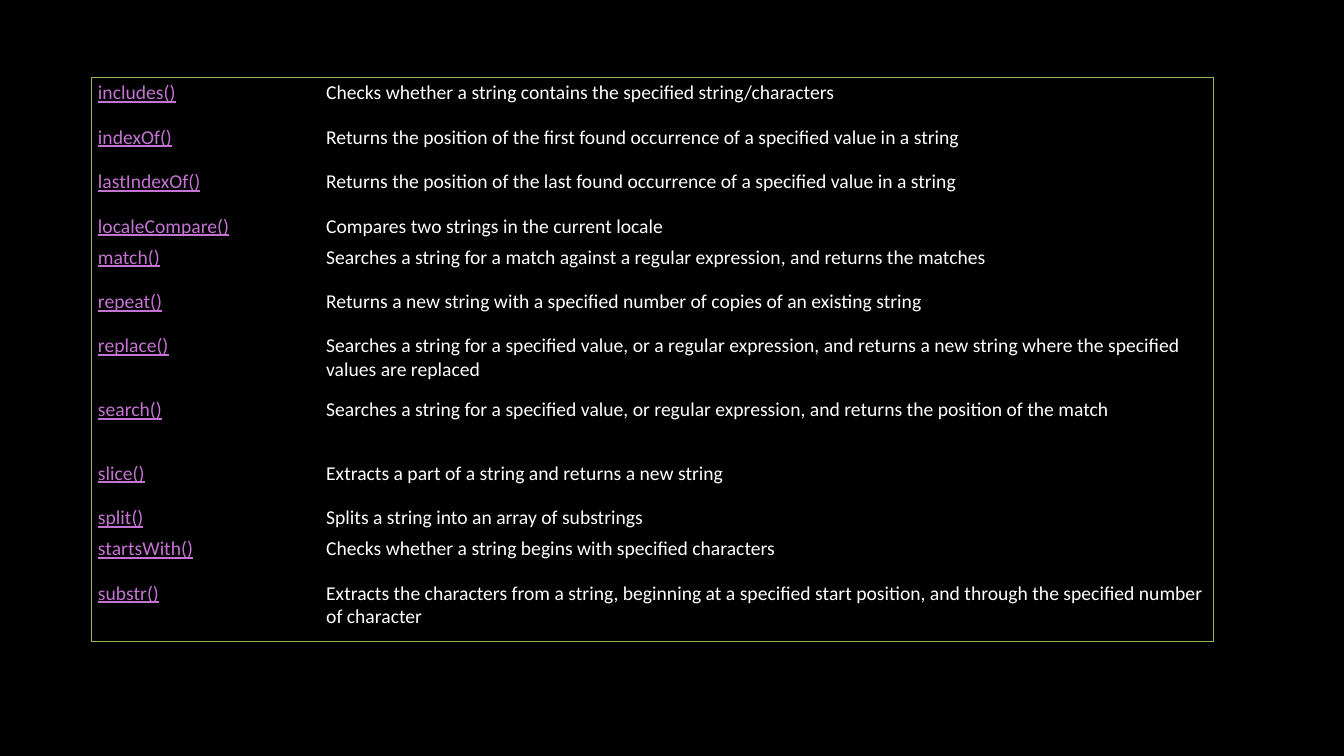
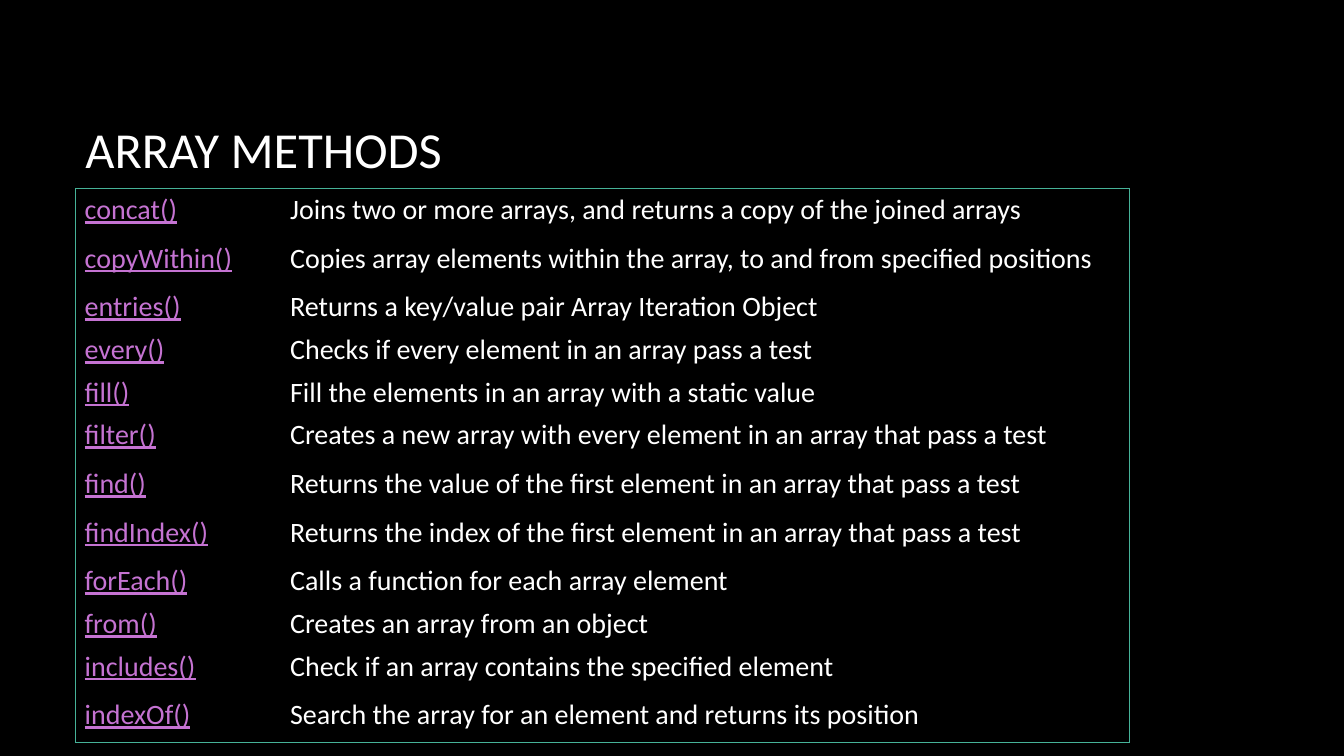
"""Two reference slides listing string and array methods."""
from lxml import etree
from pptx import Presentation
from pptx.dml import color
from pptx.enum import text
from pptx.oxml import ns
from pptx.util import Pt

FONT = "Calibri"
BLACK, WHITE, LINK = "000000", "FFFFFF", "C573D2"
NO_GRID_STYLE = "{2D5ABB26-0587-4C30-8999-92F81FD0307C}"


def rgb(value):
    return color.RGBColor.from_string(value)


def add_run(paragraph, wording, size, ink, underline=False):
    run = paragraph.add_run()
    run.text = wording
    run.font.name = FONT
    run.font.size = Pt(size)
    run.font.color.rgb = rgb(ink)
    run.font.underline = underline


string_methods = [
    ("includes()", "Checks whether a string contains the specified string/characters", 31.75),
    ("indexOf()", "Returns the position of the first found occurrence of a specified value in a string", 31.75),
    ("lastIndexOf()", "Returns the position of the last found occurrence of a specified value in a string", 31.75),
    ("localeCompare()", "Compares two strings in the current locale", 18),
    ("match()", "Searches a string for a match against a regular expression, and returns the matches", 31.75),
    ("repeat()", "Returns a new string with a specified number of copies of an existing string", 31.75),
    ("replace()", "Searches a string for a specified value, or a regular expression, and returns "
     "a new string where the specified values are replaced", 45.5),
    ("search()", "Searches a string for a specified value, or regular expression, and returns "
     "the position of the match", 45.5),
    ("slice()", "Extracts a part of a string and returns a new string", 31.75),
    ("split()", "Splits a string into an array of substrings", 18),
    ("startsWith()", "Checks whether a string begins with specified characters", 31.75),
    ("substr()", "Extracts the characters from a string, beginning at a specified start position, "
     "and through the specified number of character", 45.5),
]
array_methods = [
    ("concat()", "Joins two or more arrays, and returns a copy of the joined arrays", 34.75),
    ("copyWithin()", "Copies array elements within the array, to and from specified positions", 34.75),
    ("entries()", "Returns a key/value pair Array Iteration Object", 21),
    ("every()", "Checks if every element in an array pass a test", 21),
    ("fill()", "Fill the elements in an array with a static value", 21),
    ("filter()", "Creates a new array with every element in an array that pass a test", 34.75),
    ("find()", "Returns the value of the first element in an array that pass a test", 34.75),
    ("findIndex()", "Returns the index of the first element in an array that pass a test", 34.75),
    ("forEach()", "Calls a function for each array element", 21),
    ("from()", "Creates an array from an object", 21),
    ("includes()", "Check if an array contains the specified element", 34.75),
    ("indexOf()", "Search the array for an element and returns its position", 34.75),
]
pages = [
    dict(title=None, methods=string_methods, left=65, top=55.5, columns=(165.5, 636),
         size=14, inset=2.5, indent=5, border="90BA4C"),
    dict(title="ARRAY METHODS", methods=array_methods, left=54, top=134.5, columns=(150, 602.5),
         size=20, inset=3.25, indent=6.5, border="46B298"),
]

deck = Presentation()
deck.slide_width, deck.slide_height = Pt(960), Pt(540)
backdrop = deck.slide_master.background.fill
backdrop.solid()
backdrop.fore_color.rgb = rgb(BLACK)

for page in pages:
    slide = deck.slides.add_slide(deck.slide_layouts[6])
    if page["title"]:
        heading = slide.shapes.add_textbox(Pt(54), Pt(48.5), Pt(798), Pt(114.5)).text_frame
        heading.word_wrap = True
        heading.vertical_anchor = text.MSO_ANCHOR.MIDDLE
        add_run(heading.paragraphs[0], page["title"], 36, WHITE)

    methods = page["methods"]
    last = len(methods) - 1
    frame = slide.shapes.add_table(
        len(methods), 2, Pt(page["left"]), Pt(page["top"]),
        Pt(sum(page["columns"])), Pt(sum(height for _, _, height in methods)))
    table = frame.table
    table.first_row = table.horz_banding = False
    frame._element.find(".//" + ns.qn("a:tableStyleId")).text = NO_GRID_STYLE
    for column, width in zip(table.columns, page["columns"]):
        column.width = Pt(width)

    for row, (method, description, height) in enumerate(methods):
        table.rows[row].height = Pt(height)
        for col, (wording, ink) in enumerate([(method, LINK), (description, WHITE)]):
            cell = table.cell(row, col)
            cell.margin_left = Pt(page["inset"] if col else page["indent"])
            cell.margin_right = cell.margin_top = cell.margin_bottom = Pt(page["inset"])
            add_run(cell.text_frame.paragraphs[0], wording, page["size"], ink, col == 0)
            outer_edges = {"lnL": col == 0, "lnR": col == 1, "lnT": row == 0, "lnB": row == last}
            for edge, drawn in outer_edges.items():
                line = etree.SubElement(cell._tc.get_or_add_tcPr(), ns.qn("a:" + edge), w=str(Pt(0.75)))
                if drawn:
                    paint = etree.SubElement(line, ns.qn("a:solidFill"))
                    etree.SubElement(paint, ns.qn("a:srgbClr"), val=page["border"])
                else:
                    etree.SubElement(line, ns.qn("a:noFill"))
            cell.fill.background()

deck.save("out.pptx")
